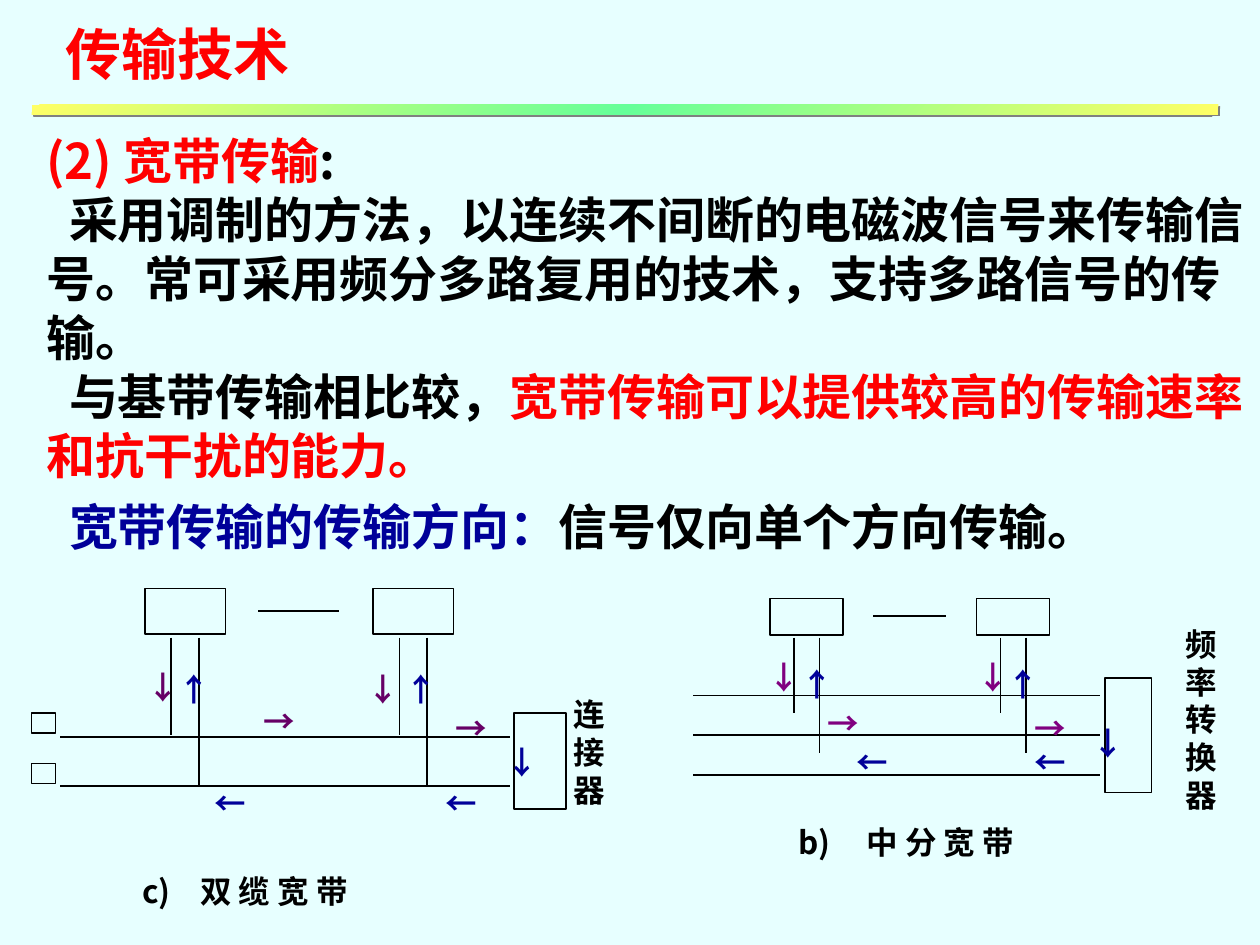
from lxml import etree
from pptx import Presentation
from pptx.dml.color import RGBColor
from pptx.enum.shapes import MSO_CONNECTOR, MSO_SHAPE
from pptx.oxml import parse_xml
from pptx.oxml.ns import nsdecls, qn
from pptx.util import Inches, Pt

STRAIGHT = MSO_CONNECTOR.STRAIGHT
RECTANGLE = MSO_SHAPE.RECTANGLE
FONT = "Noto Sans CJK SC"
WIDTH, HEIGHT = Inches(10), Inches(7.5)
COLUMN, ROW = WIDTH / 100, HEIGHT / 75
BLACK, RED, NAVY = "000000", "FF0000", "000099"
ARROW_SIZE = (4.1, 4)

TWO_CABLES = {
    "stations": [11.5, 29.6], "station_box": (46.7, 6.4, 3.6),
    "cables": (4.8, 40.5, [58.5, 62.4]),
    "taps": [(2.1, 50.6, 58.3), (4.3, 50.6, 62.3)],
    "link": (20.5, 26.9, 48.5),
    "boxes": [(40.8, 56.6, 4.1, 7.6), (2.5, 60.6, 1.9, 1.6), (2.5, 56.6, 1.9, 1.6)],
    "arrows": {
        "660066": [("→", 19.9, 55.2), ("→", 35.2, 55.8), ("↓", 10.7, 52.5), ("↓", 28.2, 52.7)],
        NAVY: [("←", 16, 61.7), ("←", 34.4, 61.7), ("↑", 13.2, 52.7),
               ("↑", 31.2, 52.7), ("↓", 39.2, 58.5)],
    },
    "device": ("连接器", 44.5, 54.7),
    "caption": ("c)\t双 缆 宽 带", 10.3, 68.7, 0.46),
}
SPLIT_BAND = {
    "stations": [61.1, 77.5], "station_box": (47.5, 5.8, 2.9),
    "cables": (55, 87.3, [55.2, 58.35, 61.5]),
    "taps": [(1.9, 50.6, 56.6), (3.95, 50.6, 59.8)],
    "link": (69.3, 75.1, 48.9),
    "boxes": [(87.7, 53.8, 3.7, 9.1)],
    "arrows": {
        "800080": [("→", 64.7, 55.4), ("→", 81.1, 55.8), ("↓", 60, 51.7), ("↓", 76.6, 51.7)],
        NAVY: [("←", 81.1, 58.5), ("←", 67, 58.5), ("↑", 62.6, 52.3),
               ("↑", 79, 52.3), ("↓", 85.7, 57)],
    },
    "device": ("频率转换器", 93.1, 49.1),
    "caption": ("b)\t中 分 宽 带", 62.4, 64.8, 0.54),
}
BODY = [
    ([("(2) 宽带传输", RED), (":", BLACK)], {}),
    ([("采用调制的方法，以连续不间断的电磁波信号来传输信号。"
       "常可采用频分多路复用的技术，支持多路信号的传输。", BLACK)], {"indent": 0.18}),
    ([("与基带传输相比较，", BLACK),
      ("宽带传输可以提供较高的传输速率和抗干扰的能力。", RED)], {"indent": 0.18, "after": 7}),
    ([("宽带传输的传输方向：", NAVY), ("信号仅向单个方向传输。", BLACK)],
     {"indent": 0.18, "after": 7}),
]


def color(value):
    return RGBColor.from_string(value)


def cells(left, top, width, height):
    return (round(left * COLUMN), round(top * ROW),
            round(width * COLUMN), round(height * ROW))


def format_paragraph(paragraph, indent=0, after=0, tab=None):
    paragraph.space_after = Pt(after)
    properties = paragraph._p.get_or_add_pPr()
    if indent:
        properties.set("indent", str(Inches(indent)))
    if tab:
        tabs = etree.SubElement(properties, qn("a:tabLst"))
        etree.SubElement(tabs, qn("a:tab"), pos=str(Inches(tab)), algn="l")


def add_run(paragraph, text, size, value):
    run = paragraph.add_run()
    run.text = text
    for name, setting in {"size": Pt(size), "bold": True, "name": FONT}.items():
        setattr(run.font, name, setting)
    run.font.color.rgb = color(value)
    etree.SubElement(run._r.get_or_add_rPr(), qn("a:ea"), typeface=FONT)


def add_text(shapes, area, paragraphs, size, wrap=False):
    """Each paragraph is a list of (text, colour) runs and a dict of its formats."""
    frame = shapes.add_textbox(*cells(*area)).text_frame
    frame.word_wrap = wrap
    for index, (runs, formats) in enumerate(paragraphs):
        paragraph = frame.add_paragraph() if index else frame.paragraphs[0]
        format_paragraph(paragraph, **formats)
        for text, value in runs:
            add_run(paragraph, text, size, value)


def add_line(shapes, x1, y1, x2, y2):
    start, end = cells(x1, y1, 0, 0)[:2], cells(x2, y2, 0, 0)[:2]
    connector = shapes.add_connector(STRAIGHT, *start, *end)
    connector.line.color.rgb = color(BLACK)
    connector.line.width = Pt(1)
    etree.SubElement(connector._element.spPr, qn("a:effectLst"))


def add_box(shapes, *area):
    shape = shapes.add_shape(RECTANGLE, *cells(*area))
    shape.shadow.inherit = False
    shape.fill.background()
    shape.line.color.rgb = color(BLACK)
    shape.line.width = Pt(1)


def add_divider(shapes):
    shape = shapes.add_shape(RECTANGLE, *cells(2.5, 8.3, 94.2, 0.8))
    shape.line.fill.background()
    stops = "".join(
        f'<a:gs pos="{position}"><a:srgbClr val="{value}"/></a:gs>'
        for position, value in [(0, "FFFF66"), (50000, "66FF99"), (100000, "FFFF66")])
    properties = shape._element.spPr
    properties.insert(2, parse_xml(
        f'<a:gradFill {nsdecls("a")} rotWithShape="1"><a:gsLst>{stops}</a:gsLst>'
        '<a:lin ang="13500000" scaled="1"/></a:gradFill>'))
    properties.append(parse_xml(
        f'<a:effectLst {nsdecls("a")}><a:outerShdw dist="{Pt(1.4)}" dir="2700000" '
        'algn="ctr" rotWithShape="0"><a:srgbClr val="808080"/></a:outerShdw></a:effectLst>'))


def add_diagram(slide, diagram):
    shapes = slide.shapes.add_group_shape().shapes
    start, end, rows = diagram["cables"]
    for row in rows:
        add_line(shapes, start, row, end, row)
    top, width, height = diagram["station_box"]
    for left in diagram["stations"]:
        add_box(shapes, left, top, width, height)
        for offset, tap_top, tap_bottom in diagram["taps"]:
            add_line(shapes, left + offset, tap_top, left + offset, tap_bottom)
    start, end, row = diagram["link"]
    add_line(shapes, start, row, end, row)
    for box in diagram["boxes"]:
        add_box(shapes, *box)
    for value, arrows in diagram["arrows"].items():
        for arrow, left, top in arrows:
            add_text(shapes, (left, top, *ARROW_SIZE), [([(arrow, value)], {})], 18)
    name, left, top = diagram["device"]
    letters = [([(letter, BLACK)], {}) for letter in name]
    add_text(shapes, (left, top, 4.5, 1 + 3 * len(name)), letters, 18)
    caption, left, top, tab = diagram["caption"]
    add_text(shapes, (left, top, 21, 4), [([(caption, BLACK)], {"tab": tab})], 18, wrap=True)


def main():
    presentation = Presentation()
    presentation.slide_width, presentation.slide_height = WIDTH, HEIGHT
    slide = presentation.slides.add_slide(presentation.slide_layouts[6])
    slide.background.fill.solid()
    slide.background.fill.fore_color.rgb = color("E7FFFF")
    add_text(slide.shapes, (2.7, 9.9, 97.3, 34.7), BODY, 28, wrap=True)
    add_diagram(slide, SPLIT_BAND)
    add_diagram(slide, TWO_CABLES)
    add_divider(slide.shapes)
    add_text(slide.shapes, (4.2, 1.1, 31.7, 6.4), [([("传输技术", RED)], {})], 32, wrap=True)
    presentation.save("out.pptx")


if __name__ == "__main__":
    main()
